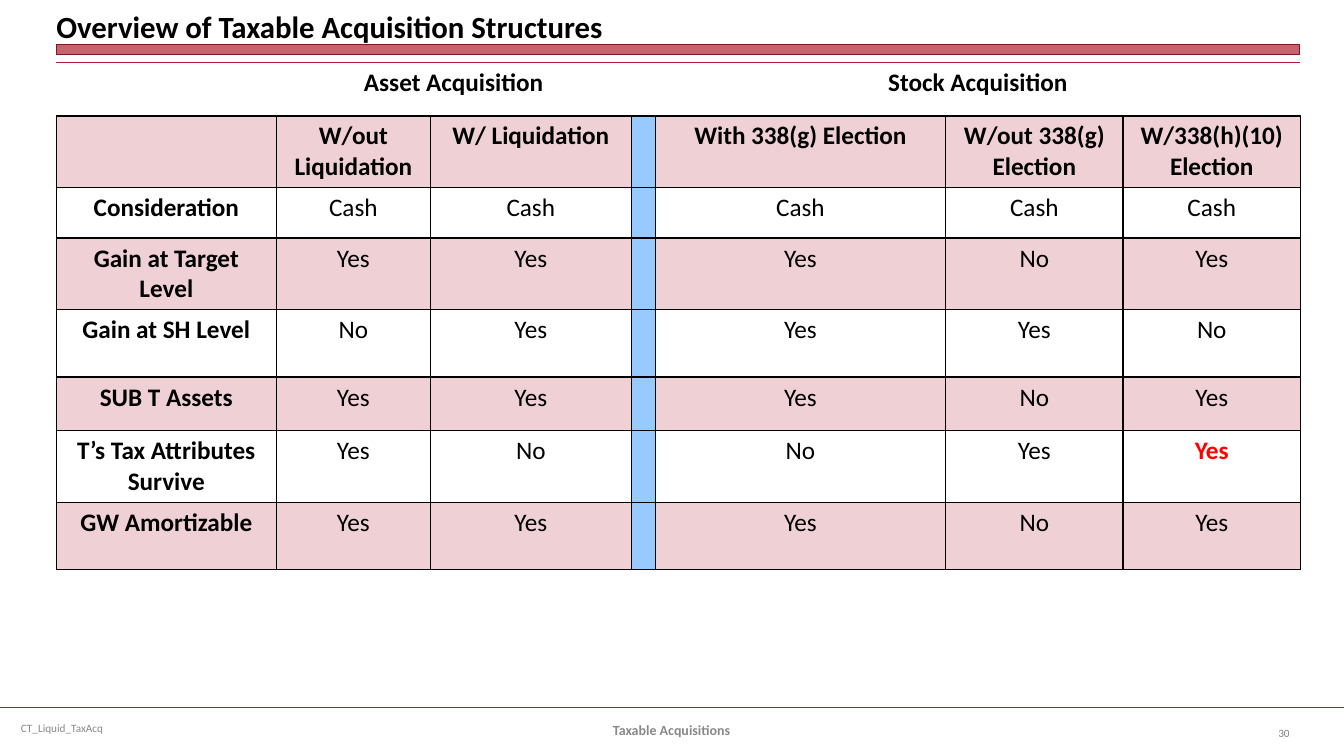
from lxml import etree
from pptx import Presentation
from pptx.dml.color import RGBColor
from pptx.enum.shapes import MSO_CONNECTOR, MSO_SHAPE
from pptx.enum.text import MSO_ANCHOR, PP_ALIGN
from pptx.oxml.ns import qn
from pptx.util import Inches, Pt

LEFT, MID, RIGHT = PP_ALIGN.LEFT, PP_ALIGN.CENTER, PP_ALIGN.RIGHT
BOTTOM, CENTER = MSO_ANCHOR.BOTTOM, MSO_ANCHOR.MIDDLE
RECT, LINE = MSO_SHAPE.RECTANGLE, MSO_CONNECTOR.STRAIGHT
COLORS = {"red": "B01C2E", "dark": "821522", "blue": "97CBFF", "black": "000000",
          "alert": "FF0000", "gray": "898989", "page": "808080"}


def write(frame, text, size, color, bold, align):
    for i, line in enumerate(text.split("\n")):
        para = frame.paragraphs[0] if i == 0 else frame.add_paragraph()
        para.alignment = align
        run = para.add_run()
        run.text = line
        run.font.name = "Calibri"
        run.font.size = Pt(size)
        run.font.bold = bold
        run.font.color.rgb = RGBColor.from_string(COLORS[color])


def paint(fill, props, color, alpha=100):
    fill.solid()
    fill.fore_color.rgb = RGBColor.from_string(COLORS[color])
    if alpha < 100:
        node = props.find(qn("a:solidFill")).find(qn("a:srgbClr"))
        etree.SubElement(node, qn("a:alpha"), val=str(alpha * 1000))


prs = Presentation()
prs.slide_width = Inches(13.33)
prs.slide_height = Inches(7.5)
slide = prs.slides.add_slide(prs.slide_layouts[6])
shapes = slide.shapes

rule = shapes.add_connector(LINE, Inches(0), Inches(7.02), Inches(13.33), Inches(7.02))
rule.line.fill.solid()
rule.line.fill.fore_color.rgb = RGBColor.from_string(COLORS["red"])
rule.line.width = Pt(1.25)
etree.SubElement(rule._element.spPr, qn("a:effectLst"))
rule._element.remove(rule._element.find(qn("p:style")))

bar = shapes.add_shape(RECT, Inches(0.56), Inches(0.44), Inches(12.33), Inches(0.1))
bar.shadow.inherit = False
paint(bar.fill, bar._element.spPr, "red", 69)
bar.line.color.rgb = RGBColor.from_string(COLORS["dark"])
bar.line.width = Pt(0)

rows = [
    ["", "Asset Acquisition", "", "", "Stock Acquisition", "", ""],
    ["", "W/out Liquidation", "W/ Liquidation", "", "With 338(g) Election",
     "W/out 338(g) Election", "W/338(h)(10)\nElection"],
    ["Consideration", "Cash", "Cash", "", "Cash", "Cash", "Cash"],
    ["Gain at Target Level", "Yes", "Yes", "", "Yes", "No", "Yes"],
    ["Gain at SH Level", "No", "Yes", "", "Yes", "Yes", "No"],
    ["SUB T Assets", "Yes", "Yes", "", "Yes", "No", "Yes"],
    ["T’s Tax Attributes Survive", "Yes", "No", "", "No", "Yes", "Yes"],
    ["GW Amortizable", "Yes", "Yes", "", "Yes", "No", "Yes"],
]
widths = [2.18, 1.53, 1.99, 0.23, 2.88, 1.76, 1.76]
heights = [0.53, 0.67, 0.5, 0.67, 0.67, 0.53, 0.7, 0.67]
GAP, ALERT = 3, (6, 6)

table = shapes.add_table(len(rows), len(widths), Inches(0.56), Inches(0.62),
                         Inches(sum(widths)), Inches(sum(heights))).table
table.first_row = False
table.horz_banding = False
for col, width in zip(table.columns, widths):
    col.width = Inches(width)
for row, height in zip(table.rows, heights):
    row.height = Inches(height)
table.cell(0, 1).merge(table.cell(0, 2))
table.cell(0, 4).merge(table.cell(0, 6))

for r, row in enumerate(rows):
    for c, text in enumerate(row):
        cell = table.cell(r, c)
        props = cell._tc.get_or_add_tcPr()
        for side in "LRTB":
            edge = etree.SubElement(props, qn("a:ln" + side), w=str(Pt(1)))
            if r == 0 and side in "LR":
                etree.SubElement(edge, qn("a:noFill"))
            else:
                color = "red" if r == 0 and side == "T" else "black"
                fill = etree.SubElement(edge, qn("a:solidFill"))
                etree.SubElement(fill, qn("a:srgbClr"), val=COLORS[color])
        if r and c == GAP:
            paint(cell.fill, props, "blue")
        elif r % 2:
            paint(cell.fill, props, "red", 20)
        else:
            cell.fill.background()
        if text:
            alert = (r, c) == ALERT
            bold = r < 2 or c == 0 or alert
            write(cell.text_frame, text, 18, "alert" if alert else "black", bold, MID)

labels = [
    ("Overview of Taxable Acquisition Structures", 0.56, 0.04, 12.33, 22, "black", True, LEFT, BOTTOM),
    ("CT_Liquid_TaxAcq", 0.11, 7.02, 3.44, 8, "gray", False, LEFT, CENTER),
    ("Taxable Acquisitions", 4.55, 7.04, 4.22, 10, "gray", True, MID, CENTER),
    ("30", 12.22, 7.07, 0.67, 8, "page", False, RIGHT, CENTER),
]
for text, x, y, width, size, color, bold, align, anchor in labels:
    frame = shapes.add_textbox(Inches(x), Inches(y), Inches(width), Inches(0.4)).text_frame
    frame.word_wrap = True
    frame.vertical_anchor = anchor
    if anchor == BOTTOM:
        frame.margin_left = frame.margin_right = Inches(0)
        frame.margin_top = frame.margin_bottom = Inches(0)
    write(frame, text, size, color, bold, align)

prs.save("out.pptx")
